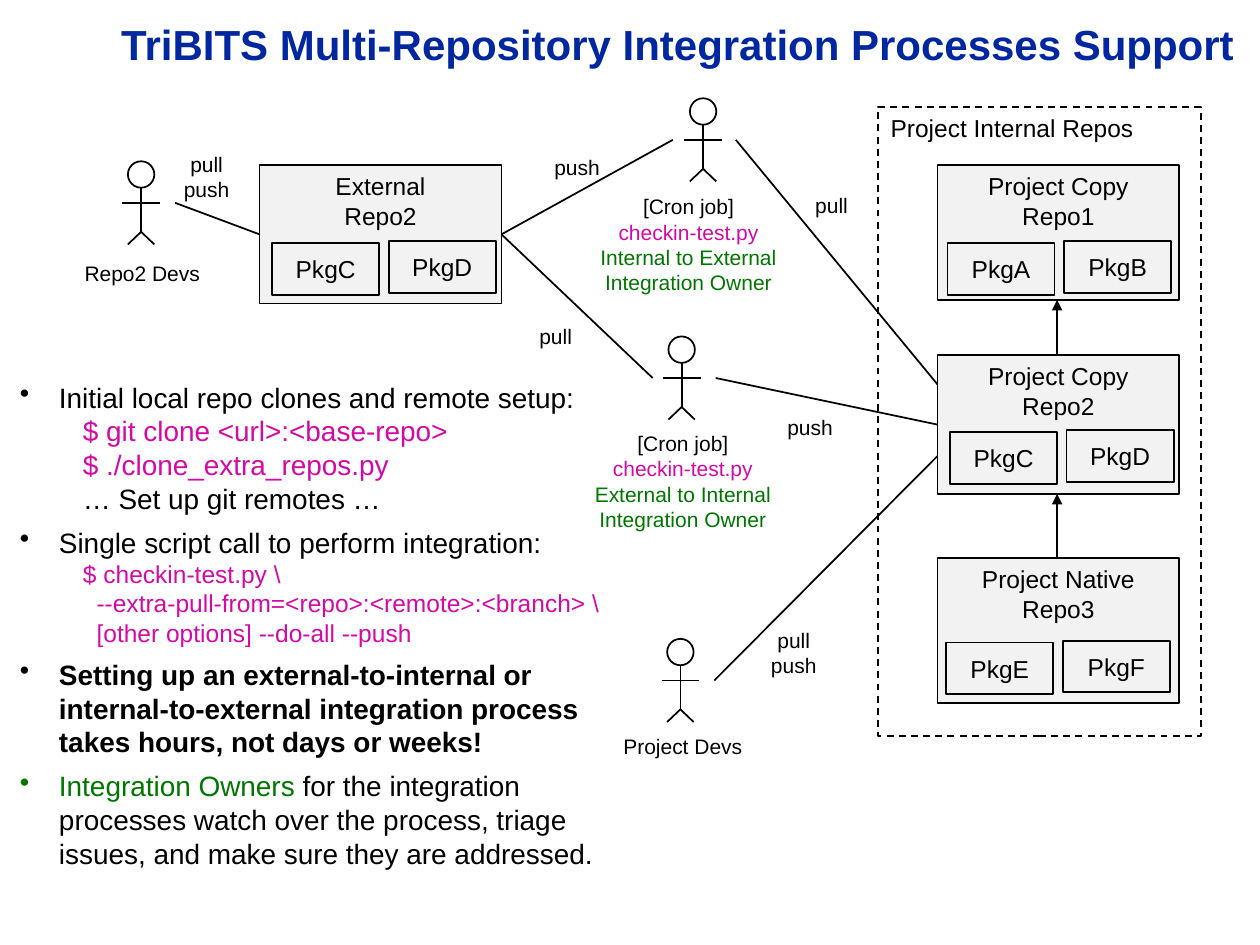
from lxml import etree
from pptx import Presentation, util as u
from pptx.dml import color
from pptx.enum import dml, shapes, text
from pptx.oxml import ns

COLORS = {"black": "000000", "title": "00279F", "code": "D30AA5",
          "owner": "007600", "box": "F2F2F2"}
CELL = u.Inches(0.1)
COLUMNS, ROWS = 100, 75
LABEL_WIDTH = 13.4
PACKAGE_SIZE = (8.5, 4.1)
PACKAGE_STEP = (9.25, -0.15)
CENTER, LEFT = text.PP_ALIGN.CENTER, text.PP_ALIGN.LEFT
TOP, MIDDLE = text.MSO_ANCHOR.TOP, text.MSO_ANCHOR.MIDDLE


def grid(*lengths):
    return [round(length * CELL) for length in lengths]


def rgb(name):
    return color.RGBColor.from_string(COLORS[name])


def set_values(target, values):
    for name, value in values.items():
        setattr(target, name, value)


def add_run(paragraph, words, size, tone="black", bold=False):
    run = paragraph.add_run()
    run.text = words
    set_values(run.font, {"name": "Arial", "size": u.Pt(size), "bold": bold})
    run.font.color.rgb = rgb(tone)


def set_indent(paragraph, left, bullet):
    properties = paragraph._p.get_or_add_pPr()
    properties.set("marL", str(u.Inches(left)))
    properties.set("indent", str(u.Inches(-0.31 if bullet else 0)))
    if bullet:
        etree.SubElement(properties, ns.qn("a:buChar"), char="•")


def write_lines(frame, lines, size, align=CENTER, anchor=TOP, bold=False):
    set_values(frame, {"word_wrap": True, "vertical_anchor": anchor})
    for index, (words, tone) in enumerate(lines):
        paragraph = frame.paragraphs[0] if index == 0 else frame.add_paragraph()
        paragraph.alignment = align
        add_run(paragraph, words, size, tone, bold)


def plain(*lines):
    return [(line, "black") for line in lines]


def add_outline(container, kind, area, fill=None, dashed=False):
    shape = container.shapes.add_shape(kind, *grid(*area))
    shape.shadow.inherit = False
    if fill:
        shape.fill.solid()
        shape.fill.fore_color.rgb = rgb(fill)
    else:
        shape.fill.background()
    shape.line.color.rgb = rgb("black")
    shape.line.width = u.Pt(1)
    if dashed:
        shape.line.dash_style = dml.MSO_LINE.DASH
    return shape


def add_box(slide, area, lines, fill="box", **options):
    dashed = options.pop("dashed", False)
    shape = add_outline(slide, shapes.MSO_SHAPE.RECTANGLE, area, fill, dashed)
    write_lines(shape.text_frame, lines, 14, **options)


def add_line(container, start, end, arrow=False):
    line = container.shapes.add_connector(
        shapes.MSO_CONNECTOR.STRAIGHT, *grid(*start, *end))
    line.line.color.rgb = rgb("black")
    line.line.width = u.Pt(1)
    if arrow:
        etree.SubElement(line.line._get_or_add_ln(), ns.qn("a:tailEnd"), type="triangle")
    etree.SubElement(line._element.spPr, ns.qn("a:effectLst"))


def add_text(slide, area, lines, size=12, **options):
    box = slide.shapes.add_textbox(*grid(*area))
    write_lines(box.text_frame, lines, size, **options)


def add_label(slide, center, top, lines, width=LABEL_WIDTH):
    area = (center - width / 2, top, width, 1 + 2 * len(lines))
    add_text(slide, area, lines)


def add_person(slide, x, top):
    person = slide.shapes.add_group_shape()
    add_outline(person, shapes.MSO_SHAPE.OVAL, (x - 1.05, top, 2.1, 2.1))
    hip = (x, top + 5.6)
    add_line(person, (x, top + 2.1), hip)
    add_line(person, (x - 1.5, top + 3.3), (x + 1.5, top + 3.3))
    for side in (-1, 1):
        add_line(person, hip, (x + side * 1.05, top + 6.6))


def add_repository(slide, area, lines, packages, start):
    add_box(slide, area, plain(*lines))
    for index, package in enumerate(packages):
        corner = [a + index * step for a, step in zip(start, PACKAGE_STEP)]
        add_box(slide, (*corner, *PACKAGE_SIZE), plain(package), anchor=MIDDLE)


def add_body(slide):
    points = [
        ([("Initial local repo clones and remote setup:", "black")], False, 16,
         [("$ git clone <url>:<base-repo>", "code"),
          ("$ ./clone_extra_repos.py", "code"),
          ("… Set up git remotes …", "black")]),
        ([("Single script call to perform integration:", "black")], False, 14,
         [("$ checkin-test.py \\", "code"),
          ("  --extra-pull-from=<repo>:<remote>:<branch> \\", "code"),
          ("  [other options] --do-all --push", "code")]),
        ([("Setting up an external-to-internal or internal-to-external "
           "integration process takes hours, not days or weeks!", "black")],
         True, 16, []),
        ([("Integration Owners", "owner"),
          (" for the integration processes watch over the process, triage "
           "issues, and make sure they are addressed.", "black")], False, 16, []),
    ]
    frame = slide.shapes.add_textbox(*grid(-1.3, 29.7, 50.6, 41.2)).text_frame
    frame.word_wrap = True
    for index, (runs, bold, detail_size, details) in enumerate(points):
        paragraph = frame.add_paragraph() if index else frame.paragraphs[0]
        set_indent(paragraph, 0.5, True)
        set_values(paragraph, {"level": 1, "space_before": u.Pt(6 if index else 0)})
        for words, tone in runs:
            add_run(paragraph, words, 16, tone, bold)
        for words, tone in details:
            paragraph = frame.add_paragraph()
            set_indent(paragraph, 0.69, False)
            paragraph.level = 2
            add_run(paragraph, words, detail_size, tone)


def main():
    presentation = Presentation()
    presentation.slide_width, presentation.slide_height = grid(COLUMNS, ROWS)
    slide = presentation.slides.add_slide(presentation.slide_layouts[6])

    add_text(slide, (7.6, 1.4, 92.4, 4.2),
             [("TriBITS Multi-Repository Integration Processes Support", "title")],
             size=24, anchor=MIDDLE, bold=True)
    add_body(slide)

    for repository in [
        ((20.6, 13.1, 19.2, 11), ("External", "Repo2"), ("PkgC", "PkgD"), (21.6, 19.3)),
        ((74.4, 13.1, 19.2, 10.7), ("Project Copy", "Repo1"), ("PkgA", "PkgB"), (75.2, 19.3)),
        ((74.4, 28.2, 19.2, 11), ("Project Copy", "Repo2"), ("PkgC", "PkgD"), (75.4, 34.3)),
        ((74.4, 44.3, 19.2, 11.5), ("Project Native", "Repo3"), ("PkgE", "PkgF"), (75.1, 51)),
    ]:
        add_repository(slide, *repository)
    add_box(slide, (69.7, 8.5, 25.6, 49.9), plain("Project Internal Repos"),
            fill=None, dashed=True, align=LEFT)

    for start, end in [((83.9, 28.2), (83.9, 23.8)), ((83.9, 44.3), (83.9, 39.2))]:
        add_line(slide, start, end, arrow=True)
    external = (39.8, 18.6)
    for start, end in [
        ((13.9, 16.1), (20.6, 18.6)),
        ((53.4, 11.1), external),
        ((51.8, 30), external),
        ((58.4, 11.1), (74.4, 30.5)),
        ((56.8, 30), (74.4, 33.7)),
        ((56.7, 54), (74.4, 36.2)),
    ]:
        add_line(slide, start, end)

    for x, top in [(11.2, 12.8), (55.8, 7.8), (54.1, 26.7), (54, 50.7)]:
        add_person(slide, x, top)

    for center, top, words in [
        (11.3, 20.2, ["Repo2 Devs"]),
        (54.2, 57.7, ["Project Devs"]),
        (16.4, 11.5, ["pull", "push"]),
        (63, 49.3, ["pull", "push"]),
        (44.1, 25.2, ["pull"]),
        (66, 14.8, ["pull"]),
        (45.8, 11.8, ["push"]),
        (64.3, 32.4, ["push"]),
    ]:
        add_label(slide, center, top, plain(*words))

    for center, top, width, direction in [
        (54.65, 14.9, 17.7, "Internal to External"),
        (54.2, 33.7, 16.8, "External to Internal"),
    ]:
        add_label(slide, center, top,
                  [("[Cron job]", "black"), ("checkin-test.py", "code"),
                   (f"{direction} Integration Owner", "owner")], width)

    presentation.save("out.pptx")


if __name__ == "__main__":
    main()
